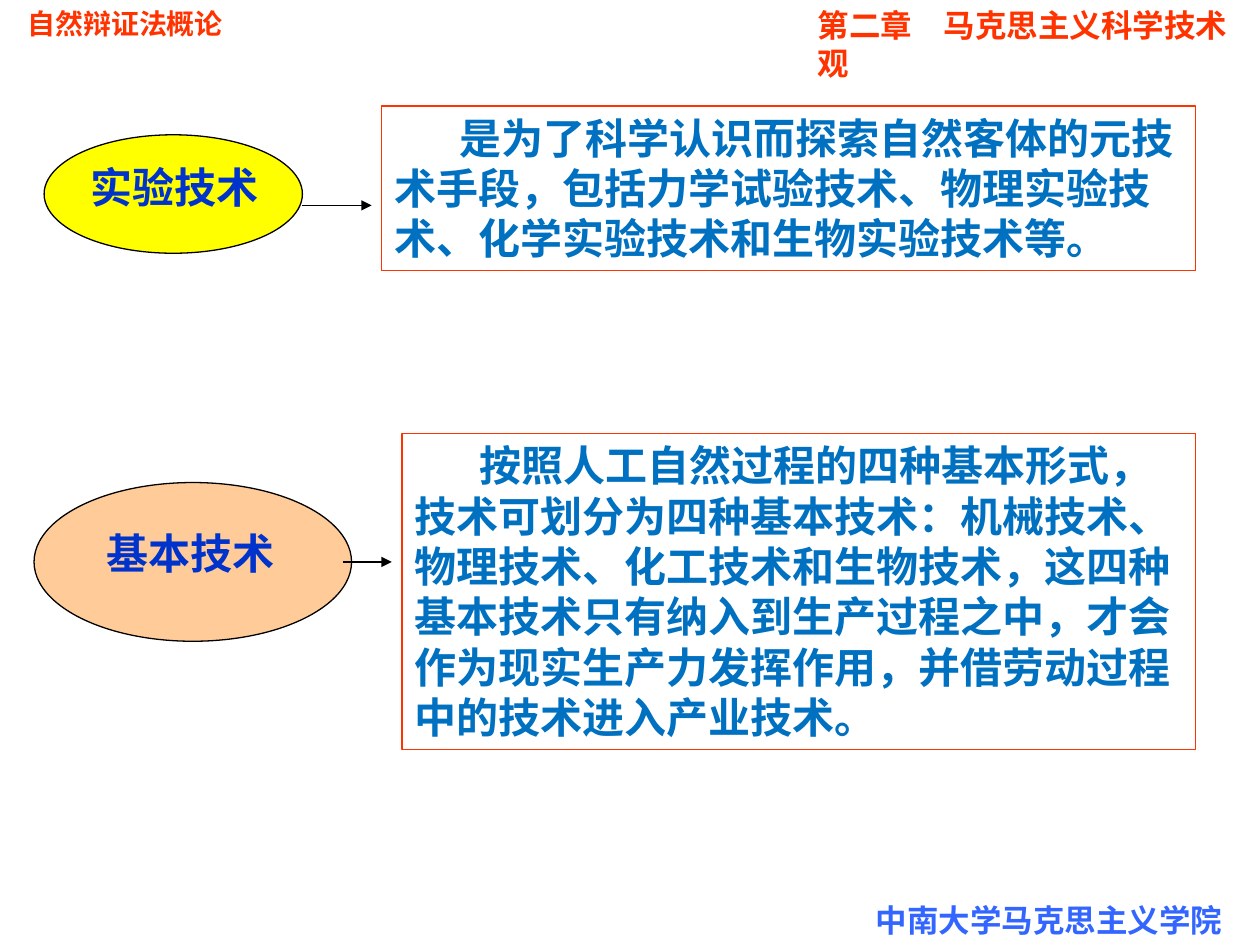
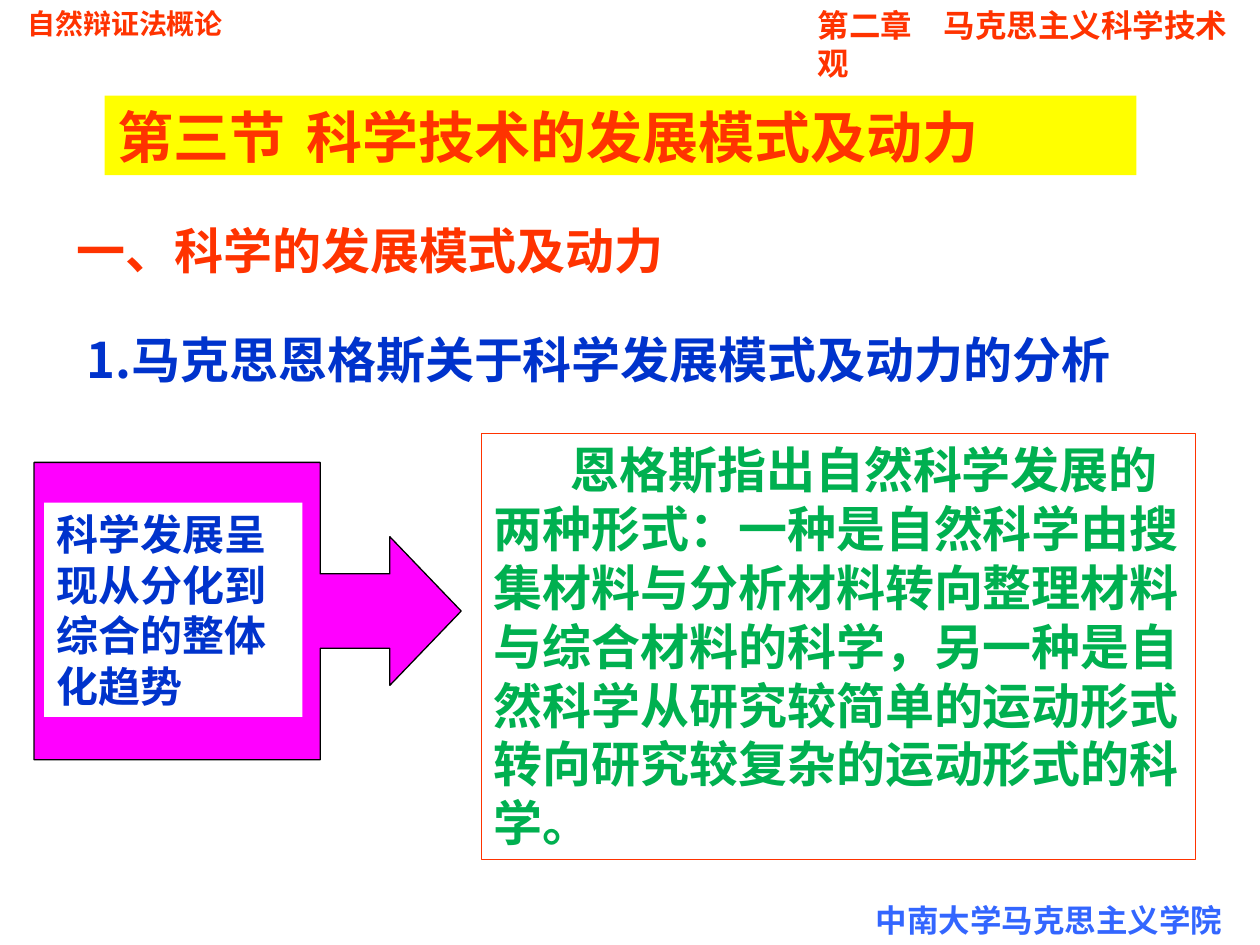
"""Build two lecture slides on technology types and models of scientific development."""
import dataclasses
from typing import Optional

import lxml.etree
import pptx
import pptx.dml.color
import pptx.enum.shapes
import pptx.enum.text
import pptx.oxml.ns
import pptx.slide
import pptx.util

Inches = pptx.util.Inches
Pt = pptx.util.Pt
SHAPE = pptx.enum.shapes.MSO_SHAPE

COLOURS = {
    "red": "FF3300", "navy": "0033CC", "footer": "3366FF", "blue": "0070C0",
    "green": "00B050", "yellow": "FFFF00", "peach": "FFCC99",
    "magenta": "FF00FF", "white": "FFFFFF", "black": "000000",
}
FRAME_FORMAT = {
    "word_wrap": True,
    "auto_size": pptx.enum.text.MSO_AUTO_SIZE.NONE,
    "vertical_anchor": pptx.enum.text.MSO_ANCHOR.TOP,
    "margin_left": Inches(0.1), "margin_right": Inches(0.1),
    "margin_top": Inches(0.05), "margin_bottom": Inches(0.05),
}


@dataclasses.dataclass(frozen=True)
class Box:
    """A shape with optional fill, outline and text; lengths are in inches."""
    left: float
    top: float
    width: float
    height: float
    text: str = ""
    size: int = 24
    colour: str = "navy"
    font: str = "Arial"
    indent: float = 0
    tab: float = 0
    fill: Optional[str] = None
    line: Optional[str] = None
    kind: Optional[SHAPE] = None
    adjustments: tuple[float, ...] = ()


@dataclasses.dataclass(frozen=True)
class Arrow:
    """A horizontal arrow between two x positions in inches."""
    start: float
    end: float
    y: float


RUNNING_TEXTS = (
    Box(0.12, 0, 3.78, 0.37, "自然辩证法概论", 16, "red"),
    Box(6.85, 7.1, 3.15, 0.4, "中南大学马克思主义学院", 18, "footer"),
    Box(6.39, 0, 3.61, 0.4, "第二章\t马克思主义科学技术观", 18, "red", tab=0.87),
)
TECHNOLOGY_ITEMS = (
    Box(0.35, 1.07, 2.05, 0.94, fill="yellow", line="black", kind=SHAPE.OVAL),
    Box(0.62, 1.23, 1.94, 0.5, "实验技术"),
    Box(3.03, 0.84, 6.46, 1.31,
        "是为了科学认识而探索自然客体的元技术手段，包括力学试验技术、物理实验技术、"
        "化学实验技术和生物实验技术等。",
        colour="blue", indent=0.52, line="red", kind=SHAPE.RECTANGLE),
    Arrow(2.4, 2.95, 1.63),
    Box(0.27, 3.83, 2.52, 1.26, fill="peach", line="black", kind=SHAPE.OVAL),
    Box(0.75, 4.14, 1.58, 0.5, "基本技术"),
    Box(3.19, 3.44, 6.3, 2.51,
        "按照人工自然过程的四种基本形式，技术可划分为四种基本技术：机械技术、物理技术、"
        "化工技术和生物技术，这四种基本技术只有纳入到生产过程之中，才会作为现实生产力"
        "发挥作用，并借劳动过程中的技术进入产业技术。",
        colour="blue", indent=0.52, line="red", kind=SHAPE.RECTANGLE),
    Arrow(2.72, 3.11, 4.46),
)
SECTION_TITLE = Box(0.83, 0.76, 8.19, 0.63, "第三节\t科学技术的发展模式及动力", 32, "red",
                    tab=1.63, fill="yellow")
DEVELOPMENT_ITEMS = (
    Box(0.51, 1.7, 6.46, 0.57, "一、科学的发展模式及动力", 28, "red"),
    Box(0.59, 2.57, 8.82, 0.57, "1.马克思恩格斯关于科学发展模式及动力的分析", 28,
        font="Noto Sans CJK SC"),
    Box(0.27, 3.67, 3.39, 2.36, fill="magenta", line="black",
        kind=SHAPE.RIGHT_ARROW_CALLOUT, adjustments=(0.25, 0.25, 0.24, 0.67)),
    Box(0.35, 3.99, 2.05, 1.7, "科学发展呈现从分化到综合的整体化趋势",
        fill="white", kind=SHAPE.RECTANGLE),
    Box(3.82, 3.44, 5.67, 3.38,
        "恩格斯指出自然科学发展的两种形式：一种是自然科学由搜集材料与分析材料转向整理"
        "材料与综合材料的科学，另一种是自然科学从研究较简单的运动形式转向研究较复杂的"
        "运动形式的科学。",
        28, "green", indent=0.61, line="red", kind=SHAPE.RECTANGLE),
)


def rgb(name: str) -> pptx.dml.color.RGBColor:
    """Return the named colour."""
    return pptx.dml.color.RGBColor.from_string(COLOURS[name])


def write_text(shape, box: Box) -> None:
    """Write the box text into the shape as one formatted paragraph."""
    frame = shape.text_frame
    for name, value in FRAME_FORMAT.items():
        setattr(frame, name, value)
    paragraph = frame.paragraphs[0]
    paragraph.alignment = pptx.enum.text.PP_ALIGN.LEFT
    paragraph.space_before = Pt(0)
    properties = paragraph._p.get_or_add_pPr()
    properties.set("marL", "0")
    properties.set("indent", str(Inches(box.indent)))
    if box.tab:
        tabs = lxml.etree.SubElement(properties, pptx.oxml.ns.qn("a:tabLst"))
        lxml.etree.SubElement(tabs, pptx.oxml.ns.qn("a:tab"),
                              pos=str(Inches(box.tab)), algn="l")
    run = paragraph.add_run()
    run.text = box.text
    for name, value in {"name": box.font, "size": Pt(box.size), "bold": True}.items():
        setattr(run.font, name, value)
    run.font.color.rgb = rgb(box.colour)


def format_box(shape, box: Box) -> None:
    """Apply the fill, the outline and the text of a box to a shape."""
    if box.fill:
        shape.fill.solid()
        shape.fill.fore_color.rgb = rgb(box.fill)
    else:
        shape.fill.background()
    if box.line:
        shape.line.color.rgb = rgb(box.line)
        shape.line.width = Pt(0.75)
    else:
        shape.line.fill.background()
    if box.text:
        write_text(shape, box)


def draw_box(slide: pptx.slide.Slide, box: Box) -> None:
    """Add a preset shape or a text box to the slide."""
    place = [Inches(value) for value in (box.left, box.top, box.width, box.height)]
    if box.kind is None:
        shape = slide.shapes.add_textbox(*place)
    else:
        shape = slide.shapes.add_shape(box.kind, *place)
        shape.shadow.inherit = False
    for index, value in enumerate(box.adjustments):
        shape.adjustments[index] = value
    format_box(shape, box)


def draw_arrow(slide: pptx.slide.Slide, arrow: Arrow) -> None:
    """Add a thin black arrow pointing right."""
    connector = slide.shapes.add_connector(
        pptx.enum.shapes.MSO_CONNECTOR.STRAIGHT,
        Inches(arrow.start), Inches(arrow.y), Inches(arrow.end), Inches(arrow.y))
    connector.line.color.rgb = rgb("black")
    connector.line.width = Pt(0.75)
    lxml.etree.SubElement(connector.line._get_or_add_ln(),
                          pptx.oxml.ns.qn("a:tailEnd"), type="triangle")
    lxml.etree.SubElement(connector._element.spPr, pptx.oxml.ns.qn("a:effectLst"))


def draw_title(slide: pptx.slide.Slide, box: Box) -> None:
    """Move and format the title placeholder."""
    title = slide.shapes.title
    for name in ("left", "top", "width", "height"):
        setattr(title, name, Inches(getattr(box, name)))
    format_box(title, box)


def add_slide(presentation, items: tuple, title: Optional[Box] = None) -> None:
    """Add a slide with the running texts, its items and an optional title."""
    layout = "Title Only" if title else "Blank"
    slide = presentation.slides.add_slide(presentation.slide_layouts.get_by_name(layout))
    if title:
        draw_title(slide, title)
    for item in RUNNING_TEXTS + items:
        if isinstance(item, Arrow):
            draw_arrow(slide, item)
        else:
            draw_box(slide, item)


def main() -> None:
    """Build and save the presentation."""
    presentation = pptx.Presentation()
    presentation.slide_width = Inches(10)
    presentation.slide_height = Inches(7.5)
    add_slide(presentation, TECHNOLOGY_ITEMS)
    add_slide(presentation, DEVELOPMENT_ITEMS, SECTION_TITLE)
    presentation.save("out.pptx")


if __name__ == "__main__":
    main()
